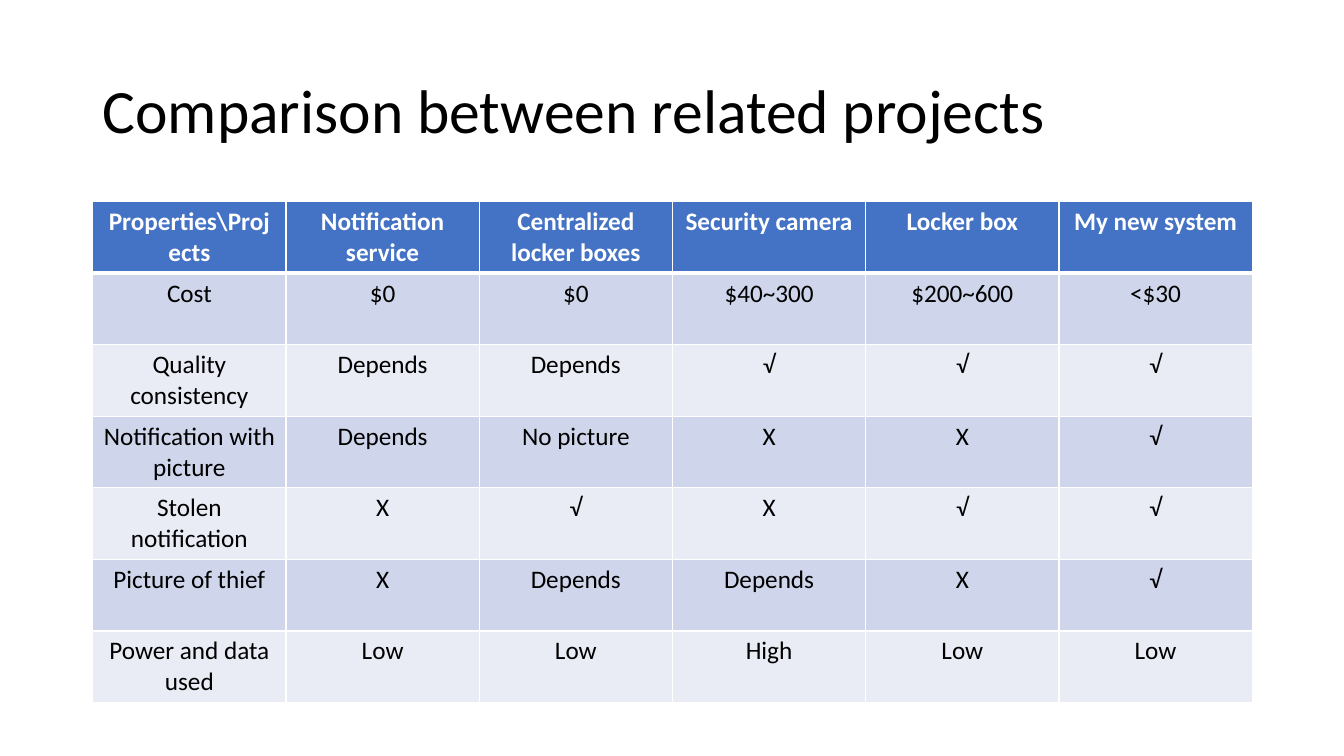
from lxml import etree
from pptx import Presentation
from pptx.dml.color import RGBColor
from pptx.enum import text
from pptx.oxml import ns
from pptx.util import Inches, Pt

TITLE = "Comparison between related projects"
ROWS = [
    ("Properties\\Projects", "Notification service", "Centralized locker boxes",
     "Security camera", "Locker box", "My new system"),
    ("Cost", "$0", "$0", "$40~300", "$200~600", "<$30"),
    ("Quality consistency", "Depends", "Depends", "√", "√", "√"),
    ("Notification with picture", "Depends", "No picture", "X", "X", "√"),
    ("Stolen notification", "X", "√", "X", "√", "√"),
    ("Picture of thief", "X", "Depends", "Depends", "X", "√"),
    ("Power and data used", "Low", "Low", "High", "Low", "Low"),
]
COLORS = {"header": "4472C4", "odd": "CFD5EA", "even": "E9EBF5",
          "white": "FFFFFF", "black": "000000"}
FONT = "Calibri"
LEFT, WIDTH = 0.92, 11.5
TABLE_TOP, ROW_HEIGHT = 2, 0.71


def write(frame, words, size, color="black", bold=False,
          align=text.PP_ALIGN.LEFT, spacing=None):
    paragraph = frame.paragraphs[0]
    paragraph.alignment = align
    paragraph.line_spacing = spacing
    run = paragraph.add_run()
    run.text = words
    run.font.name = FONT
    run.font.size = Pt(size)
    run.font.bold = bold
    run.font.color.rgb = RGBColor.from_string(COLORS[color])


def set_borders(cell, widths):
    """Draw white cell borders; widths maps each side (L, R, T, B) to points."""
    properties = cell._tc.get_or_add_tcPr()
    for side, width in widths.items():
        line = etree.SubElement(properties, ns.qn(f"a:ln{side}"), w=str(Pt(width)))
        fill = etree.SubElement(line, ns.qn("a:solidFill"))
        etree.SubElement(fill, ns.qn("a:srgbClr"), val=COLORS["white"])


def add_title(slide):
    box = slide.shapes.add_textbox(Inches(LEFT), Inches(0.4), Inches(WIDTH), Inches(1.45))
    box.text_frame.word_wrap = True
    box.text_frame.vertical_anchor = text.MSO_ANCHOR.MIDDLE
    write(box.text_frame, TITLE, 44, spacing=0.9)


def add_comparison(slide):
    table = slide.shapes.add_table(
        len(ROWS), len(ROWS[0]), Inches(LEFT), Inches(TABLE_TOP),
        Inches(WIDTH), Inches(ROW_HEIGHT * len(ROWS))).table
    for row, values in enumerate(ROWS):
        header = row == 0
        band = "header" if header else "odd" if row % 2 else "even"
        borders = {"L": 1, "R": 1, "T": 3 if row == 1 else 1, "B": 3 if header else 1}
        for column, words in enumerate(values):
            cell = table.cell(row, column)
            set_borders(cell, borders)
            cell.fill.solid()
            cell.fill.fore_color.rgb = RGBColor.from_string(COLORS[band])
            write(cell.text_frame, words, 18, "white" if header else "black",
                  bold=header, align=text.PP_ALIGN.CENTER)


def main():
    presentation = Presentation()
    presentation.slide_width = Inches(13.33)
    presentation.slide_height = Inches(7.5)
    slide = presentation.slides.add_slide(presentation.slide_layouts[6])
    add_title(slide)
    add_comparison(slide)
    presentation.save("out.pptx")


if __name__ == "__main__":
    main()
